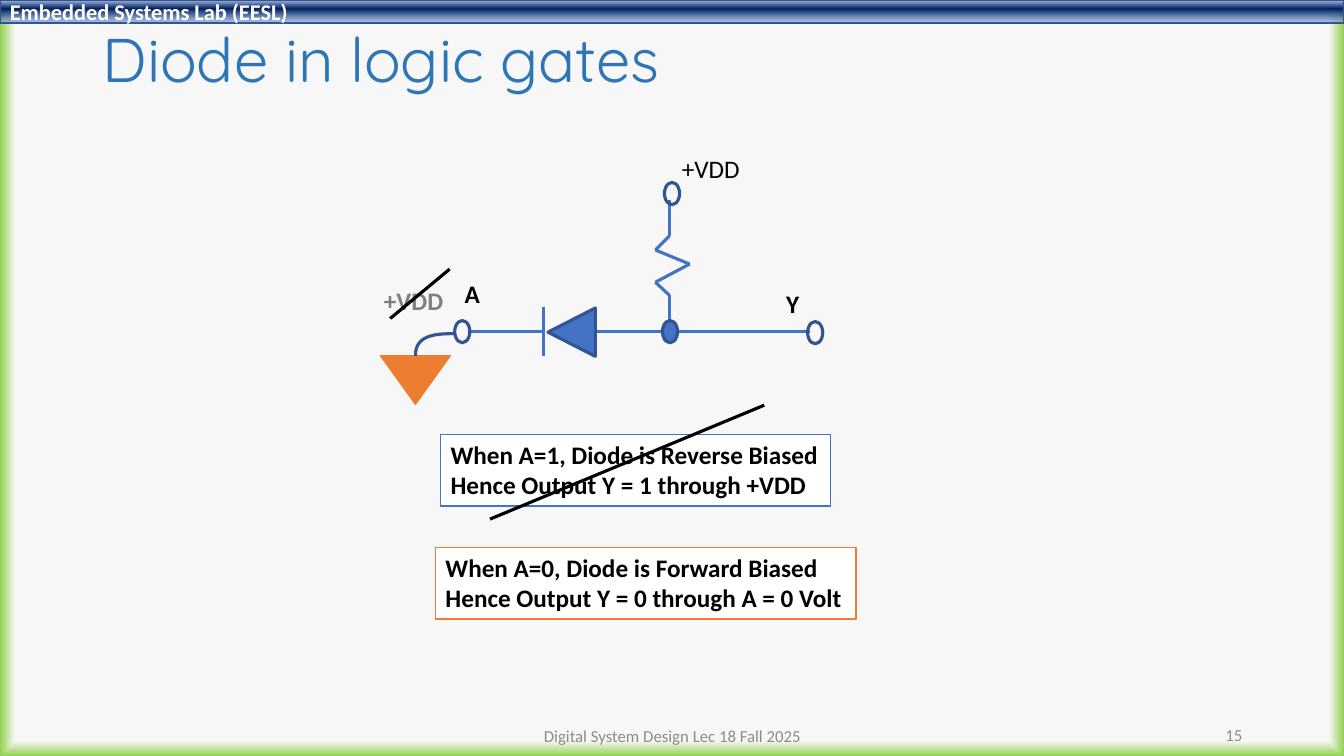
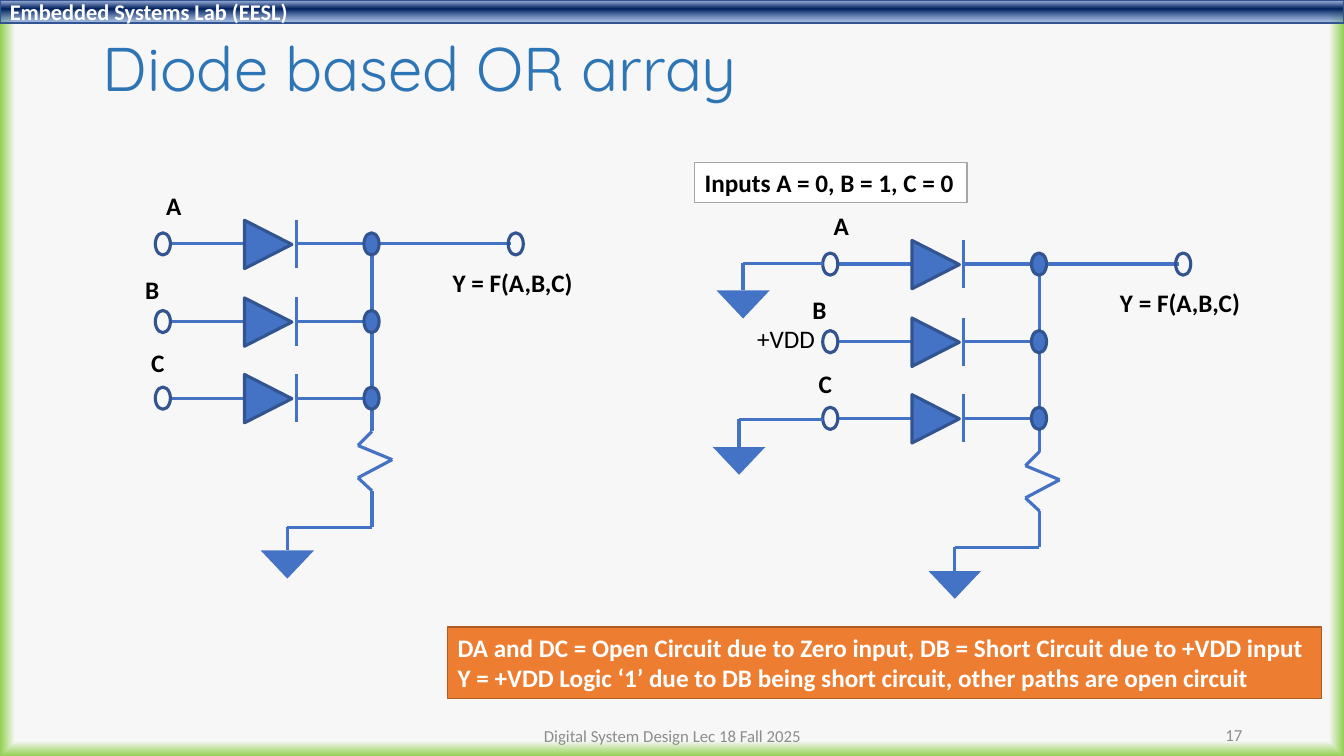
import itertools

import lxml.etree
import pptx
import pptx.dml.color
import pptx.enum.dml
import pptx.enum.shapes
import pptx.enum.text
import pptx.oxml.ns
import pptx.util

PX = 9144
WIDTH, HEIGHT = 1333, 750
BLUE, NAVY, ORANGE = "4472C4", "325491", "ED7D31"
BLACK, WHITE, GREY, SILVER = "000000", "FFFFFF", "808080", "8C8C8C"
BODY_FONT, TITLE_FONT = "Calibri", "Quicksand"
LEFT = pptx.enum.text.PP_ALIGN.LEFT
CENTER = pptx.enum.text.PP_ALIGN.CENTER
RIGHT = pptx.enum.text.PP_ALIGN.RIGHT
SHAPES = pptx.enum.shapes.MSO_SHAPE
MIDDLE = pptx.enum.text.MSO_ANCHOR.MIDDLE
qn = pptx.oxml.ns.qn

BAND_TEXT = "Embedded Systems Lab (EESL)"
FOOTER = "Digital System Design Lec 18 Fall 2025"
BAND_STOPS = [(2, "ABC0E4", 100), (38, "002060", 100), (93, "7E9ED6", 64)]
PAGE_STOPS = [(96, "F7F7F7", 100), (100, "92D050", 100)]

GATE_PAGE = ("Diode in logic gates", (92, 15, 1150, 95), "15")
ARRAY_PAGE = ("Diode based OR array", (92, 27, 1150, 87), "17")

GATE_TERMINALS = [(451, 318), (801, 319), (659, 181)]
GATE_NAMES = [("A", (451, 271, 35, 40), BLACK), ("Y", (770, 281, 33, 40), BLACK),
              ("+VDD", (371, 278, 80, 40), GREY)]
GATE_NOTES = [
    ((437, 431, 387, 71), BLUE,
     ["When A=1, Diode is Reverse Biased", "Hence Output Y = 1 through +VDD"]),
    ((432, 543, 417, 71), ORANGE,
     ["When A=0, Diode is Forward Biased", "Hence Output Y = 0 through A = 0 Volt"]),
]
STRIKES = [[(387, 316), (446, 267)], [(486, 515), (758, 402)]]
GROUND_CURVE = [(412, 353), (412, 333), (430, 331), (451, 331)]

RESISTOR = [(0, 0), (0, 36), (-14, 50), (20, 64), (-14, 82), (0, 95), (0, 131)]
ARRAY_INPUTS = [("A", 155, 184, 242), ("B", 134, 267, 319), ("C", 140, 340, 395)]
ARRAY_OFFSETS = [(0, 0), (662, 20)]
INPUT_GROUNDS = [((816, 261), 737, 288), ((816, 416), 733, 443)]
INPUTS_NOTE = ["Inputs A = 0, B = 1, C = 0"]
RESULT_NOTE = [
    "DA and DC = Open Circuit due to Zero input, DB = Short Circuit due to +VDD input",
    "Y = +VDD Logic ‘1’ due to DB being short circuit, other paths are open circuit",
]


def px(*values):
    return [round(value * PX) for value in values]


def color(code):
    return pptx.dml.color.RGBColor.from_string(code)


def set_line(line, code, width):
    line.color.rgb = color(code)
    line.width = pptx.util.Pt(width)


def set_gradient(fill, parent, stops, direction):
    fill.solid()
    solid = next(parent.iter(qn("a:solidFill")))
    gradient = lxml.etree.Element(qn("a:gradFill"), rotWithShape="1")
    stop_list = lxml.etree.SubElement(gradient, qn("a:gsLst"))
    for position, code, opacity in stops:
        stop = lxml.etree.SubElement(stop_list, qn("a:gs"), pos=str(position * 1000))
        tone = lxml.etree.SubElement(stop, qn("a:srgbClr"), val=code)
        if opacity < 100:
            lxml.etree.SubElement(tone, qn("a:alpha"), val=str(opacity * 1000))
    gradient.append(direction)
    solid.getparent().replace(solid, gradient)


def write(frame, lines, size=18, code=BLACK, bold=False, align=LEFT, font=BODY_FONT):
    for index, line in enumerate(lines):
        para = frame.add_paragraph() if index else frame.paragraphs[0]
        para.alignment = align
        span = para.add_run()
        span.text = line
        span.font.name = font
        span.font.size = pptx.util.Pt(size)
        span.font.bold = bold
        span.font.color.rgb = color(code)


def add_label(page, place, lines, wrap=False, middle=False, **style):
    box = page.shapes.add_textbox(*px(*place))
    box.text_frame.word_wrap = wrap
    if middle:
        box.text_frame.vertical_anchor = MIDDLE
    write(box.text_frame, lines, **style)


def add_shape(page, kind, place, fill=None, line=None, width=2.25, angle=0):
    shape = page.shapes.add_shape(kind, *px(*place))
    shape.shadow.inherit = False
    shape.rotation = angle
    if fill:
        shape.fill.solid()
        shape.fill.fore_color.rgb = color(fill)
    else:
        shape.fill.background()
    if line:
        set_line(shape.line, line, width)
    else:
        shape.line.fill.background()
    return shape


def add_note(page, place, lines, fill, line, code=BLACK):
    box = add_shape(page, SHAPES.RECTANGLE, place, fill, line, 1)
    box.text_frame.word_wrap = False
    box.text_frame.vertical_anchor = pptx.enum.text.MSO_ANCHOR.TOP
    write(box.text_frame, lines, code=code, bold=True)


def add_wire(page, points, code=BLUE):
    for start, end in itertools.pairwise(points):
        wire = page.shapes.add_connector(
            pptx.enum.shapes.MSO_CONNECTOR.STRAIGHT, *px(*start, *end))
        set_line(wire.line, code, 2.25)
        lxml.etree.SubElement(wire.element.spPr, qn("a:effectLst"))


def add_node(page, x, y, fill=None):
    add_shape(page, SHAPES.OVAL, (x, y, 15, 22), fill, NAVY)


def add_diode(page, x, y, bar, angle):
    add_shape(page, SHAPES.ISOSCELES_TRIANGLE, (x, y - 23, 48, 47), BLUE, NAVY, angle=angle)
    add_wire(page, [(bar, y - 24), (bar, y + 24)])


def add_resistor(page, x, y):
    add_wire(page, [(x + dx, y + dy) for dx, dy in RESISTOR])


def add_ground(page, x, y, width=53, height=28, code=BLUE, line=None):
    place = (x - width / 2, y, width, height)
    ground = add_shape(page, SHAPES.ISOSCELES_TRIANGLE, place, code, line, 1, 180)
    ground.fill.patterned()
    ground.fill.pattern = pptx.enum.dml.MSO_PATTERN.DARK_HORIZONTAL
    ground.fill.fore_color.rgb = color(code)
    ground.fill.back_color.rgb = color(WHITE)


def add_grounded_lead(page, start, x, y):
    add_wire(page, [start, (x, start[1]), (x, y)])
    add_ground(page, x, y)


def add_curve(page, controls, steps=16):
    points = []
    for step in range(steps + 1):
        t = step / steps
        weights = ((1 - t) ** 3, 3 * t * (1 - t) ** 2, 3 * t * t * (1 - t), t ** 3)
        points.append(px(*(sum(w * value for w, value in zip(weights, axis))
                           for axis in zip(*controls))))
    builder = page.shapes.build_freeform(*points[0])
    builder.add_line_segments(points[1:], close=False)
    curve = builder.convert_to_shape()
    curve.shadow.inherit = False
    curve.fill.background()
    set_line(curve.line, NAVY, 2.25)


def add_page(deck, heading, place, number):
    page = deck.slides.add_slide(deck.slide_layouts[5])
    title = page.shapes.title
    title.left, title.top, title.width, title.height = px(*place)
    frame = title.text_frame
    frame.auto_size = pptx.enum.text.MSO_AUTO_SIZE.NONE
    frame.vertical_anchor = MIDDLE
    write(frame, [heading], 44, "2E75B6", font=TITLE_FONT)
    frame.paragraphs[0].line_spacing = 0.9
    for text, box, align in [(FOOTER, (442, 710, 450, 40), CENTER),
                             (number, (942, 709, 300, 40), RIGHT)]:
        add_label(page, box, [text], wrap=True, middle=True,
                  size=12, code=SILVER, align=align)
    return page


def style_master(deck, page):
    master = deck.slide_master
    direction = lxml.etree.Element(qn("a:path"), path="shape")
    lxml.etree.SubElement(direction, qn("a:fillToRect"),
                          l="50000", t="50000", r="50000", b="50000")
    set_gradient(master.background.fill, master.element, PAGE_STOPS, direction)
    band = add_shape(page, SHAPES.RECTANGLE, (0, 0, WIDTH, 23), BLUE, NAVY, 1)
    direction = lxml.etree.Element(qn("a:lin"), ang="5400000", scaled="0")
    set_gradient(band.fill, band.element.spPr, BAND_STOPS, direction)
    band.text_frame.vertical_anchor = MIDDLE
    write(band.text_frame, [BAND_TEXT], 16, WHITE, True)
    band.element.nvSpPr.cNvPr.set("id", "20")
    master.element.cSld.spTree.append(band.element)


def draw_gate(page):
    add_resistor(page, 664, 198)
    add_wire(page, [(664, 329), (591, 329)])
    add_diode(page, 543, 329, 539, 270)
    add_wire(page, [(539, 329), (465, 329)])
    add_wire(page, [(662, 329), (803, 329)])
    for x, y in GATE_TERMINALS:
        add_node(page, x, y)
    add_label(page, (666, 140, 78, 55), ["+VDD"], middle=True, align=CENTER)
    for name, place, code in GATE_NAMES:
        add_label(page, place, [name], code=code, bold=True)
    for place, line, lines in GATE_NOTES:
        add_note(page, place, lines, WHITE, line)
    add_ground(page, 412, 353, 69, 48, ORANGE, ORANGE)
    for strike in STRIKES:
        add_wire(page, strike, BLACK)
    add_curve(page, GROUND_CURVE)
    add_node(page, 657, 318, BLUE)


def draw_array(page, dx, dy):
    bus = dx + 369
    add_resistor(page, bus, dy + 392)
    add_grounded_lead(page, (bus, dy + 523), dx + 285, dy + 546)
    rows = [y + dy for *_, y in ARRAY_INPUTS]
    add_wire(page, [(bus, rows[0]), (bus, rows[-1])])
    add_wire(page, [(bus, rows[0]), (dx + 507, rows[0])])
    add_node(page, dx + 504, rows[0] - 11)
    add_label(page, (dx + 439, dy + 260, 141, 40), ["Y = F(A,B,C)"], bold=True)
    for (name, x, top, _), y in zip(ARRAY_INPUTS, rows):
        add_wire(page, [(dx + 169, y), (dx + 242, y)])
        add_diode(page, dx + 242, y, dx + 294, 90)
        add_wire(page, [(dx + 294, y), (bus, y)])
        add_node(page, dx + 154, y - 11)
        add_node(page, dx + 361, y - 11, BLUE)
        add_label(page, (dx + x, dy + top, 34, 40), [name], bold=True)


def main():
    deck = pptx.Presentation()
    deck.slide_width, deck.slide_height = px(WIDTH, HEIGHT)

    page = add_page(deck, *GATE_PAGE)
    style_master(deck, page)
    draw_gate(page)

    page = add_page(deck, *ARRAY_PAGE)
    for dx, dy in ARRAY_OFFSETS:
        draw_array(page, dx, dy)
    for start, x, y in INPUT_GROUNDS:
        add_grounded_lead(page, start, x, y)
    add_label(page, (741, 316, 81, 40), ["+VDD"])
    add_note(page, (689, 161, 270, 40), INPUTS_NOTE, WHITE, "A5A5A5")
    add_note(page, (444, 622, 867, 71), RESULT_NOTE, ORANGE, "AF5C24", WHITE)

    deck.save("out.pptx")


if __name__ == "__main__":
    main()
